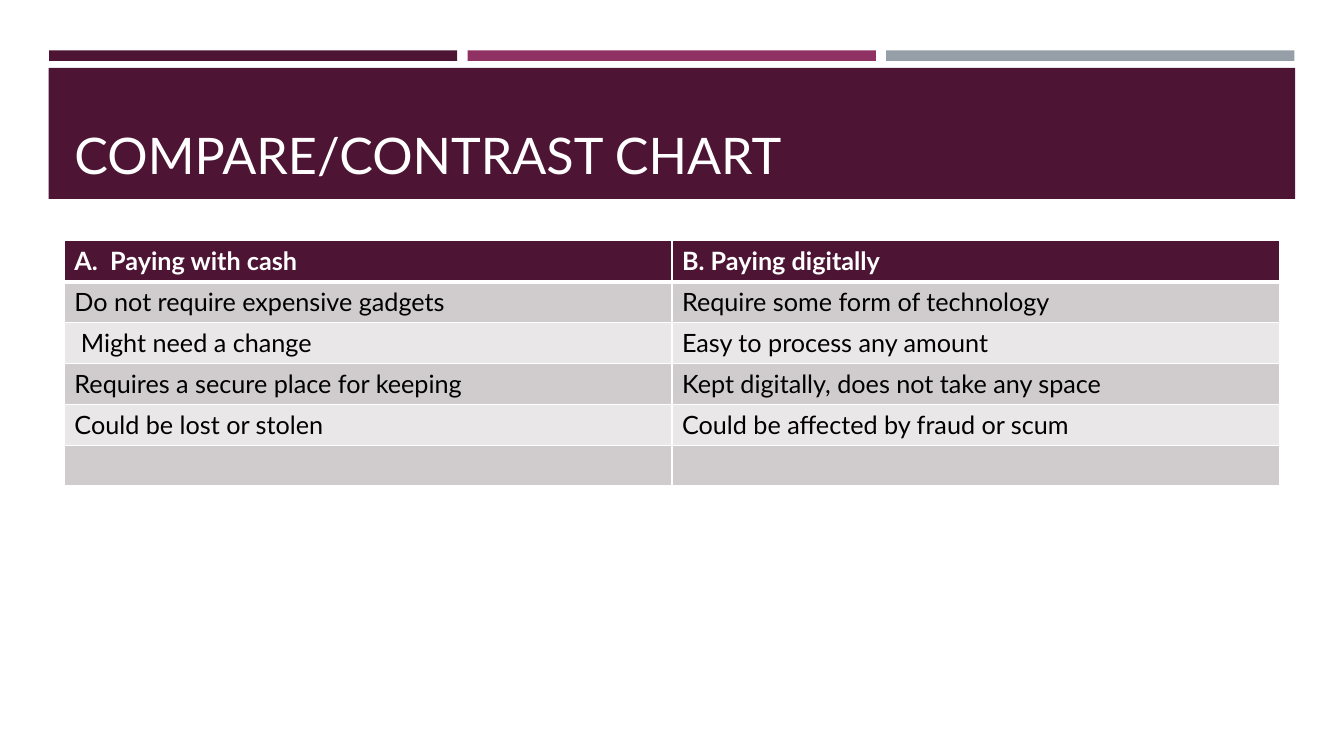
from lxml.etree import SubElement as add_node
from pptx import Presentation
from pptx.dml.color import RGBColor
from pptx.enum.shapes import MSO_SHAPE as Shape
from pptx.enum.text import MSO_ANCHOR as Anchor, PP_ALIGN as Align
from pptx.oxml.ns import qn
from pptx.util import Pt

TITLE = "COMPARE/CONTRAST CHART"
ROWS = [
    ("A.  Paying with cash", "B. Paying digitally"),
    ("Do not require expensive gadgets", "Require some form of technology"),
    (" Might need a change", "Easy to process any amount"),
    ("Requires a secure place for keeping", "Kept digitally, does not take any space"),
    ("Could be lost or stolen", "Could be affected by fraud or scum"),
    ("", ""),
]
PLUM, WHITE, BLACK = "4D1434", "FFFFFF", "000000"
BANDS = ("E9E7E8", "D0CCCE")
STRIPES = (PLUM, "903163", "969FA7")
STRIPE_LEFT, STRIPE_STEP, STRIPE_WIDTH = 35, 299, 291.6
TABLE_LEFT, TABLE_TOP, TABLE_WIDTH, ROW_HEIGHT = 46, 172, 868, 29.2


def color(value):
    """Turn a hex string into a colour."""
    return RGBColor.from_string(value)


def paint(item, value):
    """Give a shape or cell a solid fill."""
    item.fill.solid()
    item.fill.fore_color.rgb = color(value)


def add_block(page, box, value):
    """Draw a plain filled rectangle."""
    block = page.shapes.add_shape(Shape.RECTANGLE, *map(Pt, box))
    block.shadow.inherit = False
    block.line.fill.background()
    paint(block, value)


def write(frame, text, value, size, bold=False):
    """Write one left-aligned line of text."""
    para = frame.paragraphs[0]
    para.alignment = Align.LEFT
    if text:
        span = para.add_run()
        span.text = text
        looks = {"name": "Lato", "size": Pt(size), "bold": bold}
        for name, setting in looks.items():
            setattr(span.font, name, setting)
        span.font.color.rgb = color(value)


def add_borders(cell, widths):
    """Draw white lines on the sides of a cell."""
    props = cell._tc.get_or_add_tcPr()
    for place, (side, width) in enumerate(widths.items()):
        line = add_node(props, qn(f"a:ln{side}"), w=str(Pt(width)))
        fill = add_node(line, qn("a:solidFill"))
        add_node(fill, qn("a:srgbClr"), val=WHITE)
        props.insert(place, line)


def add_title(page):
    """Place the title on top of the banner."""
    title = page.shapes.title
    box = {"left": 46, "top": 55.5, "width": 868, "height": 80}
    for name, length in box.items():
        setattr(title, name, Pt(length))
    frame = title.text_frame
    frame.word_wrap = True
    frame.vertical_anchor = Anchor.BOTTOM
    write(frame, TITLE, WHITE, 36)
    page.shapes.element.append(title.element)


def add_comparison(page):
    """Build the two-column comparison table."""
    box = (TABLE_LEFT, TABLE_TOP, TABLE_WIDTH, ROW_HEIGHT * len(ROWS))
    table = page.shapes.add_table(len(ROWS), len(ROWS[0]), *map(Pt, box)).table
    for row_index, texts in enumerate(ROWS):
        header = row_index == 0
        for column_index, text in enumerate(texts):
            cell = table.cell(row_index, column_index)
            paint(cell, PLUM if header else BANDS[row_index % 2])
            write(cell.text_frame, text, WHITE if header else BLACK, 18, header)
            top = 3 if row_index == 1 else 1
            bottom = 3 if header else 1
            add_borders(cell, {"L": 1, "R": 1, "T": top, "B": bottom})


deck = Presentation()
deck.slide_width, deck.slide_height = Pt(960), Pt(540)
page = deck.slides.add_slide(deck.slide_layouts[5])
for index, value in enumerate(STRIPES):
    left = STRIPE_LEFT + index * STRIPE_STEP
    add_block(page, (left, 36, STRIPE_WIDTH, 7.5), value)
add_block(page, (34.8, 48.5, 890.4, 93.6), PLUM)
add_title(page)
add_comparison(page)
deck.save("out.pptx")
